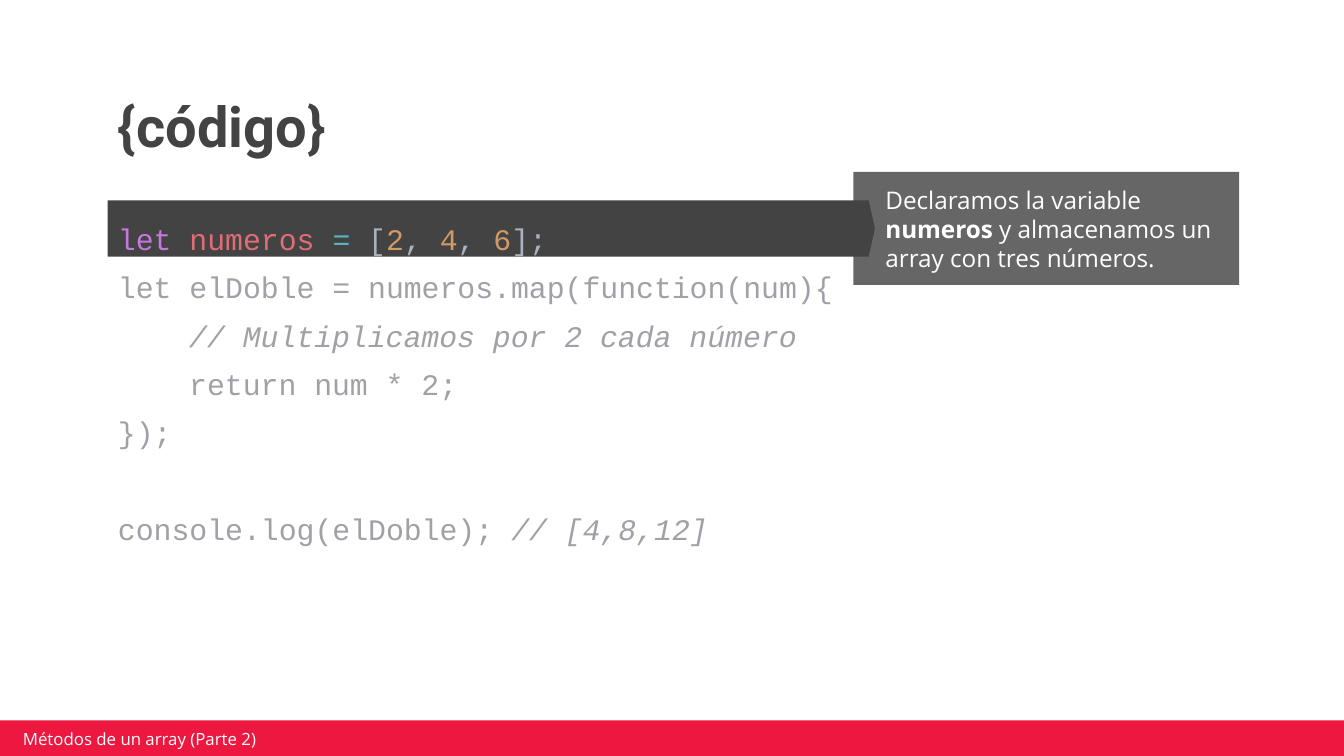
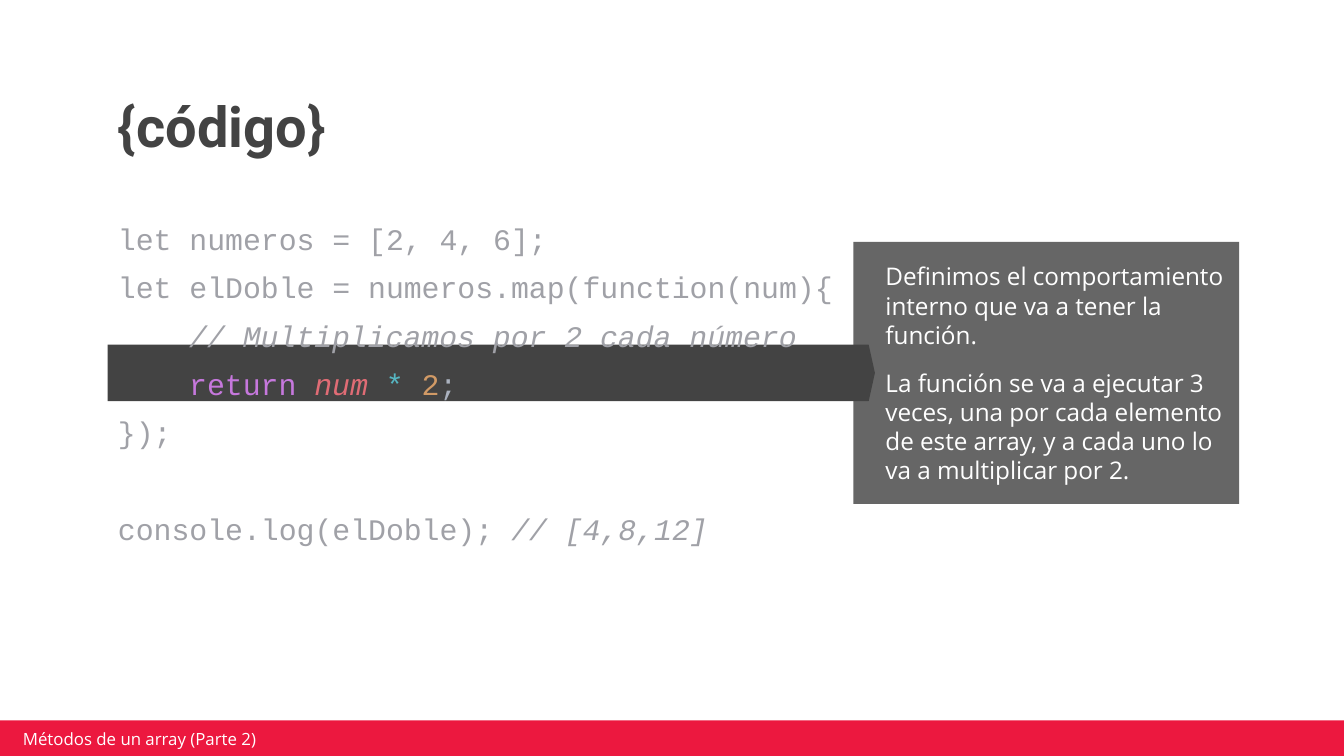
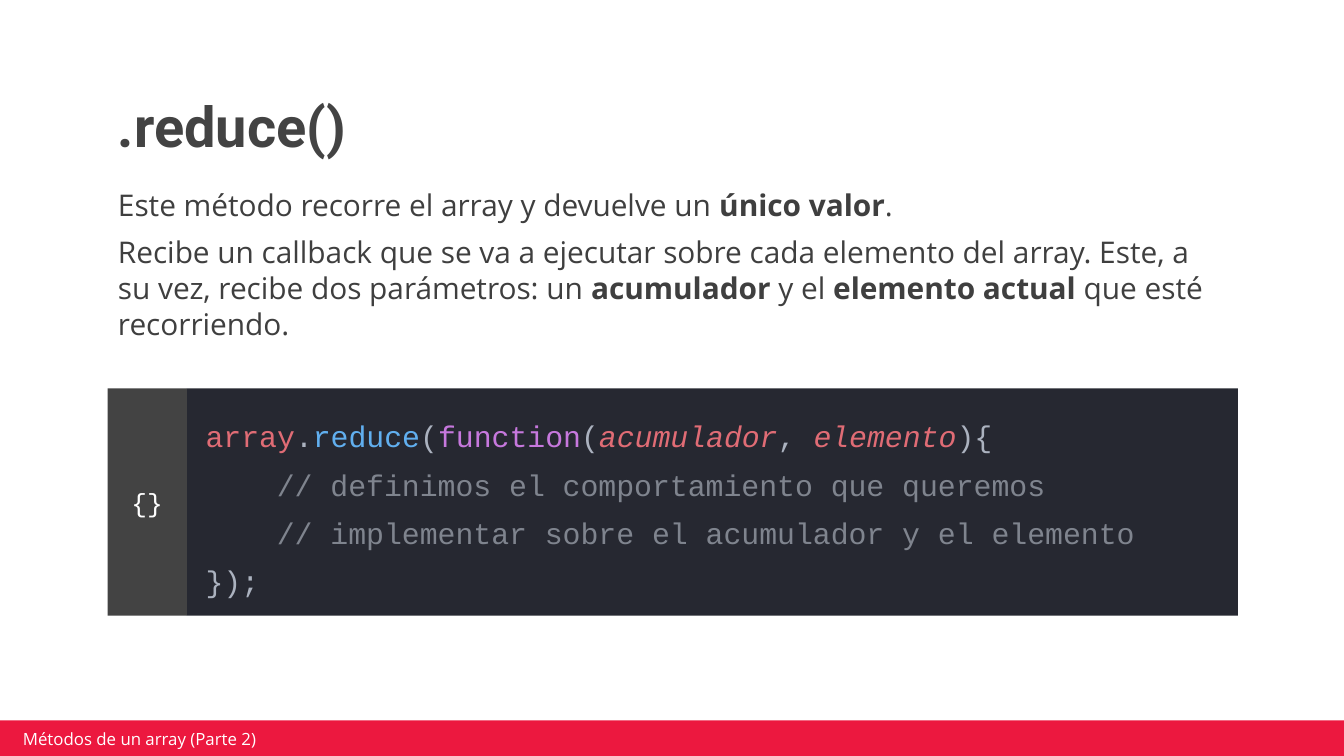
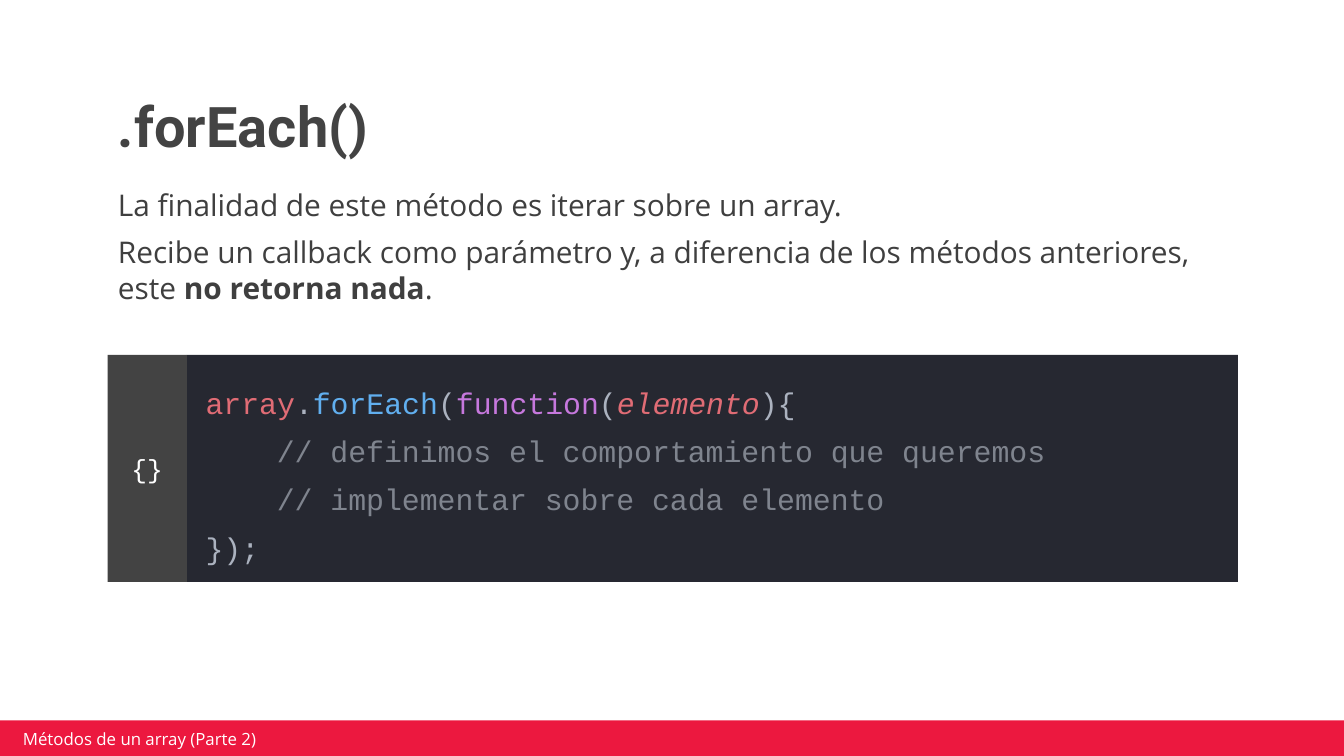
import dataclasses
import typing

import pptx
import pptx.dml.color
import pptx.enum.shapes
import pptx.enum.text
import pptx.util

Inches = pptx.util.Inches
Pt = pptx.util.Pt
Shape = pptx.enum.shapes.MSO_SHAPE
Align = pptx.enum.text.PP_ALIGN
Anchor = pptx.enum.text.MSO_ANCHOR


@dataclasses.dataclass(frozen=True)
class Theme:
    # Colours
    white: str = "FFFFFF"
    dark: str = "434343"
    body: str = "3F3F3F"
    callout: str = "666666"
    band: str = "EC183F"
    editor: str = "262831"
    muted: str = "A0A1A7"
    keyword: str = "C678DD"
    name: str = "E06C75"
    operator: str = "56B6C2"
    number: str = "D19A66"
    method: str = "61AFEF"
    symbol: str = "ABB2BF"
    remark: str = "7F848E"
    # Fonts and type sizes
    title_font: str = "Roboto"
    text_font: str = "Open Sans"
    code_font: str = "Courier New"
    title_size: int = 30
    text_size: int = 16
    code_size: int = 16
    tab_size: int = 14
    callout_size: int = 13
    footer_size: int = 9


THEME = Theme()


class Box(typing.NamedTuple):
    left: float
    top: float
    width: float
    height: float


class Line(typing.NamedTuple):
    """One paragraph: spans are (text, changed font values)."""
    spans: list
    indent: float = 0
    values: dict = {}


TITLE_BOX = Box(0.78, 0.6, 8.43, 0.69)
INTRO_BOX = Box(0.78, 1.29, 8.43, 0.53)
LISTING_BOX = Box(0.78, 1.29, 5.56, 4.07)
FOOTER_BOX = Box(-0.02, 5.36, 10.03, 0.27)
FOOTER_TEXT = "Métodos de un array (Parte 2)"

CODE_INDENT = 0.53  # four characters of code
CODE_LEADING = {"line_spacing": 1.35}
BLOCK_GAP = {"space_before": Pt(26)}  # one line of code
BOLD = {"bold": True}
MUTED = {"color": THEME.muted}
MUTED_ITALIC = {"color": THEME.muted, "italic": True}


def code(text, kind, italic=False):
    return text, {"color": getattr(THEME, kind), "italic": italic}


# Shared text and shape helpers

def set_values(target, values):
    for key, value in values.items():
        setattr(target, key, value)


def write(shape, lines, font, size, color, insets, anchor=Anchor.MIDDLE, **para_values):
    frame = shape.text_frame
    sides = ("margin_left", "margin_top", "margin_right", "margin_bottom")
    set_values(frame, {"word_wrap": True, "vertical_anchor": anchor})
    set_values(frame, dict(zip(sides, map(Inches, insets))))
    for index, line in enumerate(lines):
        para = frame.add_paragraph() if index else frame.paragraphs[0]
        set_values(para, {"alignment": Align.LEFT, **para_values, **line.values})
        if line.indent:
            properties = para._p.get_or_add_pPr()
            properties.set("marL", str(Inches(line.indent)))
            properties.set("indent", "0")
        for text, changes in line.spans:
            span = para.add_run()
            span.text = text
            values = {"name": font, "size": Pt(size), "bold": False, "italic": False, **changes}
            tint = values.pop("color", color)
            set_values(span.font, values)
            span.font.color.rgb = pptx.dml.color.RGBColor.from_string(tint)


def add_block(shapes, box, fill, kind=Shape.RECTANGLE):
    shape = shapes.add_shape(kind, *map(Inches, box))
    shape.shadow.inherit = False
    shape.fill.solid()
    shape.fill.fore_color.rgb = pptx.dml.color.RGBColor.from_string(fill)
    shape.line.fill.background()
    return shape


def add_text(page, box, lines, *style, **options):
    write(page.shapes.add_textbox(*map(Inches, box)), lines, *style, **options)


# Regions

def add_title(page, box, text):
    add_text(page, box, [Line([(text, BOLD)])], THEME.title_font, THEME.title_size,
             THEME.dark, (0.1,) * 4, anchor=Anchor.BOTTOM, line_spacing=0.9)


def add_footer(page, box):
    add_block(page.shapes, box, THEME.band)
    label = Box(box.left + 0.14, box.top + 0.06, 2.39, 0.15)
    add_text(page, label, [Line([(FOOTER_TEXT, {})])], THEME.text_font,
             THEME.footer_size, THEME.white, (0.05, 0.02, 0.05, 0.02))


def add_listing(page, box, lines):
    add_text(page, box, lines, THEME.code_font, THEME.code_size, THEME.muted,
             (0.1, 0.26, 0.1, 0.1), anchor=Anchor.TOP, **CODE_LEADING)


def add_callout(page, box, lines):
    """Note at the right, with a pointer reaching back over the code."""
    note = add_block(page.shapes, box, THEME.callout)
    write(note, lines, THEME.text_font, THEME.callout_size, THEME.white, (0.1, 0, 0.1, 0))
    height = 0.42
    middle = box.top + box.height / 2
    pointer_box = Box(box.left - 5.55, middle - height / 2, 5.71, height)
    pointer = add_block(page.shapes, pointer_box, THEME.dark, Shape.RIGHT_ARROW)
    pointer.adjustments[0], pointer.adjustments[1] = 1, 0.11


def add_intro(page, box, lines):
    add_text(page, box, lines, THEME.text_font, THEME.text_size, THEME.body,
             (0.1,) * 4, anchor=Anchor.TOP, space_before=Pt(6))


def add_editor(page, box, lines):
    """Dark code panel with a {} tab at its left."""
    tab_width = 0.59
    group = page.shapes.add_group_shape()
    panel_box = Box(box.left + tab_width, box.top, box.width - tab_width, box.height)
    panel = add_block(group.shapes, panel_box, THEME.editor)
    write(panel, lines, THEME.code_font, THEME.code_size, THEME.symbol,
          (0.14, 0, 0.1, 0), **CODE_LEADING)
    tab = add_block(group.shapes, box._replace(width=tab_width), THEME.dark)
    write(tab, [Line([("{}", {})])], THEME.code_font, THEME.tab_size, THEME.white,
          (0.1,) * 4, alignment=Align.CENTER)


# Types of slide

def add_page(deck):
    return deck.slides.add_slide(deck.slide_layouts[6])


def build_step_page(deck, title, callout_box, note, highlighted):
    """Code listing in which the highlighted lines replace the muted ones."""
    page = add_page(deck)
    add_callout(page, callout_box, note)
    add_title(page, TITLE_BOX, title)
    add_footer(page, FOOTER_BOX)
    lines = [highlighted.get(index, line) for index, line in enumerate(DOUBLE_CODE)]
    add_listing(page, LISTING_BOX, lines)


def build_method_page(deck, title, intro, editor_top, code_lines):
    page = add_page(deck)
    add_editor(page, Box(0.8, editor_top, 8.41, 1.69), code_lines)
    add_title(page, TITLE_BOX, title)
    add_intro(page, INTRO_BOX, intro)
    add_footer(page, FOOTER_BOX)


# Content

DOUBLE_CODE = [
    Line([("let numeros = [2, 4, 6];", MUTED)]),
    Line([("let elDoble = numeros.map(function(num){", MUTED)]),
    Line([("// Multiplicamos por 2 cada número", MUTED_ITALIC)], CODE_INDENT),
    Line([("return num * 2;", MUTED)], CODE_INDENT),
    Line([("});", MUTED)]),
    Line([("console.log(elDoble); ", MUTED), ("// [4,8,12]", MUTED_ITALIC)], 0, BLOCK_GAP),
]

DECLARE_LINE = Line([
    code("let ", "keyword"), code("numeros ", "name"), code("=", "operator"),
    code(" [", "symbol"), code("2", "number"), code(", ", "symbol"),
    code("4", "number"), code(", ", "symbol"), code("6", "number"), code("];", "symbol"),
])

RETURN_LINE = Line([
    code("return ", "keyword"), code("num ", "name", True), code("* ", "operator"),
    code("2", "number"), code(";", "symbol"),
], CODE_INDENT)

DECLARE_NOTE = [Line([
    ("Declaramos la variable ", {}), ("numeros ", BOLD),
    ("y almacenamos un array con tres números.", {}),
], 0.14)]

RETURN_NOTE = [
    Line([("Definimos el comportamiento interno que va a tener la función.", {})], 0.14),
    Line([("La función se va a ejecutar 3 veces, una por cada elemento de este array, "
           "y a cada uno lo va a multiplicar por 2.", {})], 0.14, {"space_before": Pt(10)}),
]

REDUCE_INTRO = [
    Line([("Este método recorre el array y devuelve un ", {}), ("único valor", BOLD), (".", {})]),
    Line([("Recibe un callback que se va a ejecutar sobre cada elemento del array. "
           "Este, a su vez, recibe dos parámetros: un ", {}), ("acumulador ", BOLD),
          ("y el ", {}), ("elemento actual", BOLD), (" que esté recorriendo.", {})]),
]

FOR_EACH_INTRO = [
    Line([("La finalidad de este método es iterar sobre un array.", {})]),
    Line([("Recibe un callback como parámetro y, a diferencia de los métodos anteriores, "
           "este ", {}), ("no retorna nada", BOLD), (".", {})]),
]


def method_code(method, parameters, target):
    """Call of an array method whose callback holds two remarks."""
    spans = [code("array", "name"), code(".", "symbol"), code(method, "method"),
             code("(", "symbol"), code("function", "keyword"), code("(", "symbol")]
    for index, parameter in enumerate(parameters):
        if index:
            spans.append(code(", ", "symbol"))
        spans.append(code(parameter, "name", True))
    spans.append(code("){", "symbol"))
    remarks = ("// definimos el comportamiento que queremos",
               f"// implementar sobre {target}")
    return [Line(spans),
            *(Line([code(remark, "remark")], CODE_INDENT) for remark in remarks),
            Line([code("});", "symbol")])]


def main():
    deck = pptx.Presentation()
    # Widescreen, 16 to 9
    width = Inches(10)
    set_values(deck, {"slide_width": width, "slide_height": width * 9 // 16})
    build_step_page(deck, "{código}", Box(6.35, 1.28, 2.87, 0.84),
                    DECLARE_NOTE, {0: DECLARE_LINE})
    build_step_page(deck, "{código}", Box(6.35, 1.8, 2.87, 1.95),
                    RETURN_NOTE, {3: RETURN_LINE})
    build_method_page(deck, ".reduce()", REDUCE_INTRO, 2.89,
                      method_code("reduce", ["acumulador", "elemento"],
                                  "el acumulador y el elemento"))
    build_method_page(deck, ".forEach()", FOR_EACH_INTRO, 2.64,
                      method_code("forEach", ["elemento"], "cada elemento"))
    deck.save("out.pptx")


if __name__ == "__main__":
    main()
